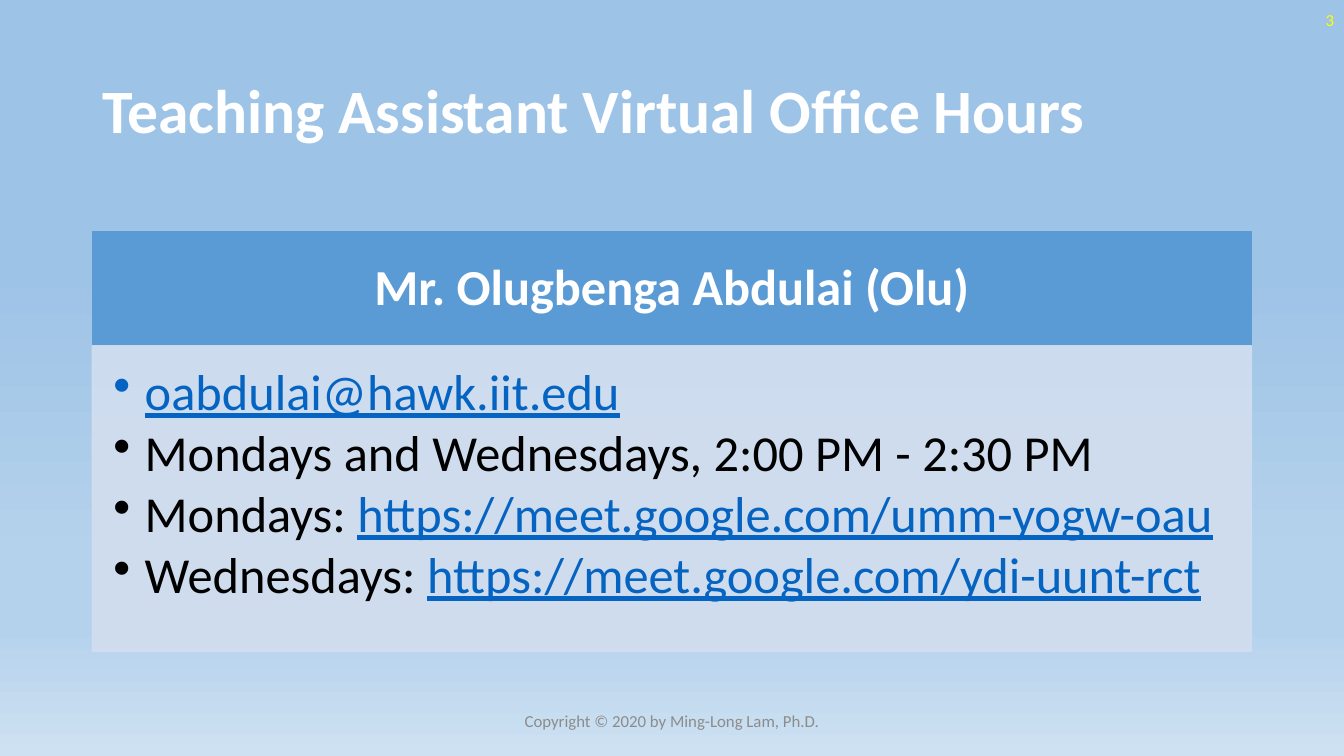
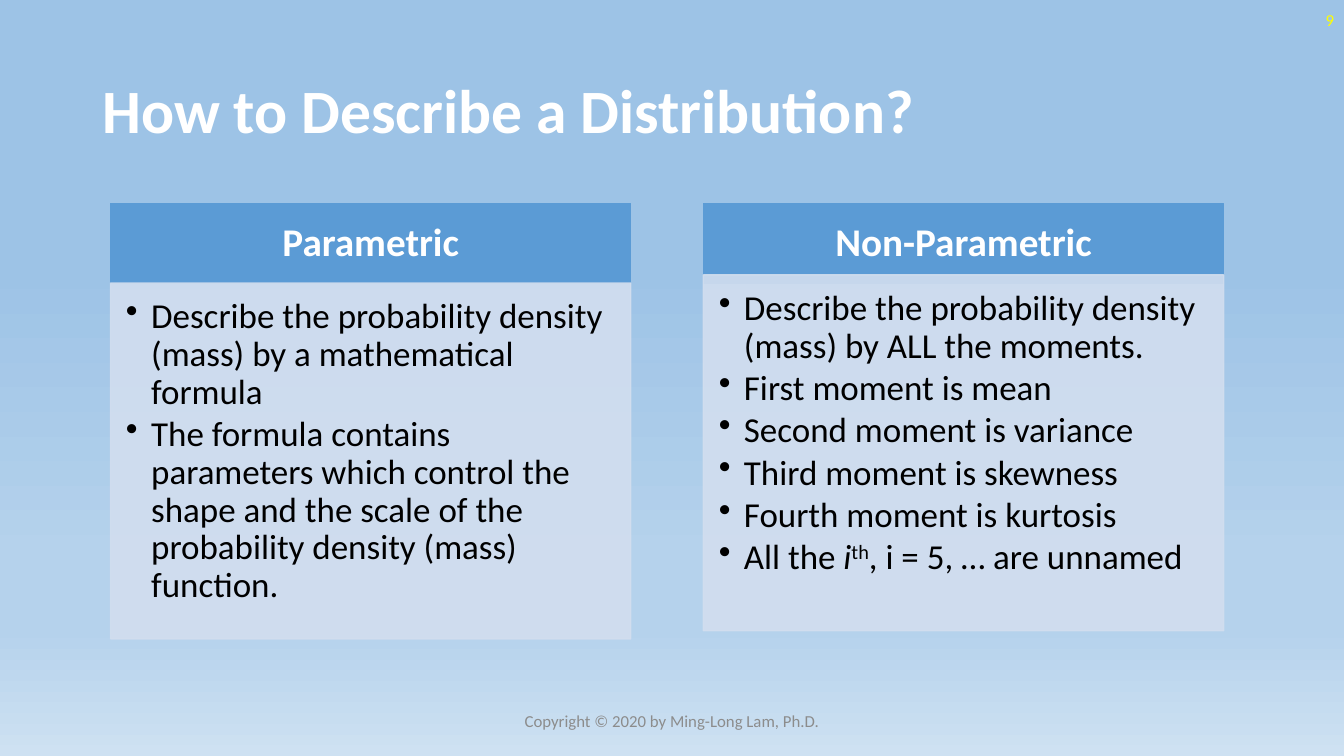
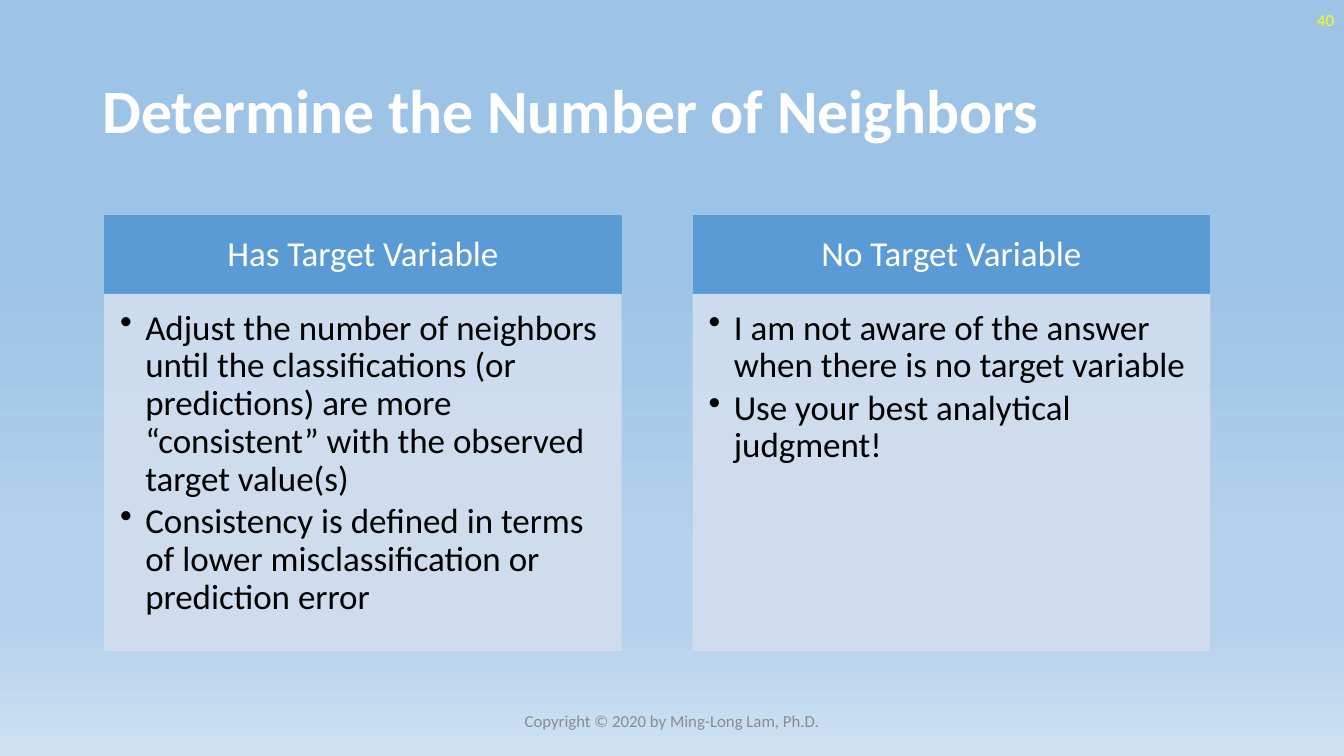
import copy

import pptx
import pptx.dml.color
import pptx.enum.shapes
import pptx.enum.text
import pptx.oxml.ns
import pptx.oxml.xmlchemy
import pptx.util
from lxml import etree

Pt = pptx.util.Pt
RGB = pptx.dml.color.RGBColor.from_string
ALIGN = pptx.enum.text.PP_ALIGN
ANCHOR = pptx.enum.text.MSO_ANCHOR
qn = pptx.oxml.ns.qn

FONT = "Calibri"
COLORS = {
    "sky": "9DC3E6",
    "mid": "B5D2EC",
    "haze": "CEE1F2",
    "header": "5B9BD5",
    "body": "D2DEEF",
    "white": "FFFFFF",
    "text": "000000",
    "link": "0563C1",
    "number": "FFFF00",
    "footer": "8C8C8C",
}
BACKGROUND = [(0.35, "sky"), (0.74, "mid"), (0.83, "mid"), (1, "haze")]
FOOTER = "Copyright © 2020 by Ming-Long Lam, Ph.D."

slides = [
    {
        "title": "Teaching Assistant Virtual Office Hours",
        "number": "3",
        "left": 66, "top": 165.6, "width": 828, "pitch": 0,
        "head_height": 81.4, "body_height": 218.2,
        "head_size": 36, "head_bold": True, "body_size": 36,
        "insets": (15, 15, 20, 23), "indent": 22.4,
        "cards": [
            ("Mr. Olugbenga Abdulai (Olu)", 247, [
                [("oabdulai@hawk.iit.edu", "link")],
                [("Mondays and Wednesdays, 2:00 PM - 2:30 PM", "plain")],
                [("Mondays: ", "plain"), ("https://meet.google.com/umm-yogw-oau", "link")],
                [("Wednesdays: ", "plain"), ("https://meet.google.com/ydi-uunt-rct", "link")],
            ]),
        ],
    },
    {
        "title": "How to Describe a Distribution?",
        "number": "9",
        "left": 79, "top": 145.4, "width": 371.6, "pitch": 423.4,
        "head_height": 56.8, "body_height": 254.2,
        "head_size": 28, "head_bold": True, "body_size": 25,
        "insets": (11, 11, 14, 16), "indent": 18,
        "cards": [
            ("Parametric", 202.2, [
                [("Describe the probability density (mass) by a mathematical formula", "plain")],
                [("The formula contains parameters which control the shape and the scale of "
                  "the probability density (mass) function.", "plain")],
            ]),
            ("Non-Parametric", 196.4, [
                [("Describe the probability density (mass) by ALL the moments.", "plain")],
                [("First moment is mean", "plain")],
                [("Second moment is variance", "plain")],
                [("Third moment is skewness", "plain")],
                [("Fourth moment is kurtosis", "plain")],
                [("All the ", "plain"), ("i", "italic"), ("th", "super"),
                 (", i = 5, … are unnamed", "plain")],
            ]),
        ],
    },
    {
        "title": "Determine the Number of Neighbors",
        "number": "40",
        "left": 74.8, "top": 153.8, "width": 368.8, "pitch": 420.4,
        "head_height": 56.6, "body_height": 254.2,
        "head_size": 25, "head_bold": False, "body_size": 25,
        "insets": (11, 11, 14, 16), "indent": 18,
        "cards": [
            ("Has Target Variable", 210.4, [
                [("Adjust the number of neighbors until the classifications (or predictions) "
                  "are more “consistent” with the observed target value(s)", "plain")],
                [("Consistency is defined in terms of lower misclassification or "
                  "prediction error", "plain")],
            ]),
            ("No Target Variable", 210.4, [
                [("I am not aware of the answer when there is no target variable", "plain")],
                [("Use your best analytical judgment!", "plain")],
            ]),
        ],
    },
]


def set_line(sp, text, size, color, align, bold=False, spacing=1.0):
    tf = sp.text_frame
    tf.word_wrap = True
    tf.vertical_anchor = ANCHOR.MIDDLE
    tf.text = text
    p = tf.paragraphs[0]
    p.alignment = align
    p.line_spacing = spacing
    r = p.runs[0]
    r.font.name = FONT
    r.font.size = Pt(size)
    r.font.bold = bold
    r.font.color.rgb = RGB(COLORS[color])


def add_panel(s, left, top, width, height, color):
    sp = s.shapes.add_shape(pptx.enum.shapes.MSO_SHAPE.RECTANGLE,
                            Pt(left), Pt(top), Pt(width), Pt(height))
    sp.shadow.inherit = False
    sp.fill.solid()
    sp.fill.fore_color.rgb = RGB(COLORS[color])
    sp.line.color.rgb = RGB(COLORS[color])
    sp.line.width = Pt(1)
    return sp


prs = pptx.Presentation()
prs.slide_width = Pt(960)
prs.slide_height = Pt(540)

fill = prs.slide_master.background.fill
fill.gradient()
fill.gradient_angle = 270
stops = prs.slide_master.element.find(".//" + qn("a:gsLst"))
while len(stops) < len(BACKGROUND):
    stops.append(copy.deepcopy(stops[0]))
for stop, (position, color) in zip(fill.gradient_stops, BACKGROUND):
    stop.position = position
    stop.color.rgb = RGB(COLORS[color])

for data in slides:
    s = prs.slides.add_slide(prs.slide_layouts[6])

    title = s.shapes.add_textbox(Pt(66), Pt(28.8), Pt(828), Pt(104.4))
    set_line(title, data["title"], 44, "white", ALIGN.LEFT, True, 0.9)
    number = s.shapes.add_textbox(Pt(744), Pt(0), Pt(216), Pt(28.8))
    set_line(number, data["number"], 12, "number", ALIGN.RIGHT)

    for i, (heading, body_top, bullets) in enumerate(data["cards"]):
        left = data["left"] + i * data["pitch"]
        head = add_panel(s, left, data["top"], data["width"], data["head_height"], "header")
        set_line(head, heading, data["head_size"], "white", ALIGN.CENTER, data["head_bold"], 0.9)

        body = add_panel(s, left, body_top, data["width"], data["body_height"], "body")
        for clr in body.element.spPr.iter(qn("a:srgbClr")):
            etree.SubElement(clr, qn("a:alpha"), val="90000")
        tf = body.text_frame
        tf.word_wrap = True
        tf.vertical_anchor = ANCHOR.TOP
        tf.margin_left, tf.margin_top, tf.margin_right, tf.margin_bottom = map(Pt, data["insets"])

        for j, parts in enumerate(bullets):
            p = tf.add_paragraph() if j else tf.paragraphs[0]
            p.alignment = ALIGN.LEFT
            p.line_spacing = 0.9
            p.space_after = Pt(round(data["body_size"] * 0.13, 1))
            pPr = p._p.get_or_add_pPr()
            pPr.set("marL", str(Pt(data["indent"])))
            pPr.set("indent", str(-Pt(data["indent"])))
            etree.SubElement(pPr, qn("a:buChar"), char="•")
            for text, style in parts:
                r = p.add_run()
                r.text = text
                r.font.name = FONT
                r.font.size = Pt(data["body_size"])
                r.font.color.rgb = RGB(COLORS["link" if style == "link" else "text"])
                if style == "link":
                    r.font.underline = True
                elif style == "italic":
                    r.font.italic = True
                elif style == "super":
                    r._r.get_or_add_rPr().set("baseline", "30000")

    footer = s.shapes.add_textbox(Pt(318), Pt(500.4), Pt(324), Pt(28.8))
    set_line(footer, FOOTER, 12, "footer", ALIGN.CENTER)

prs.save("out.pptx")
